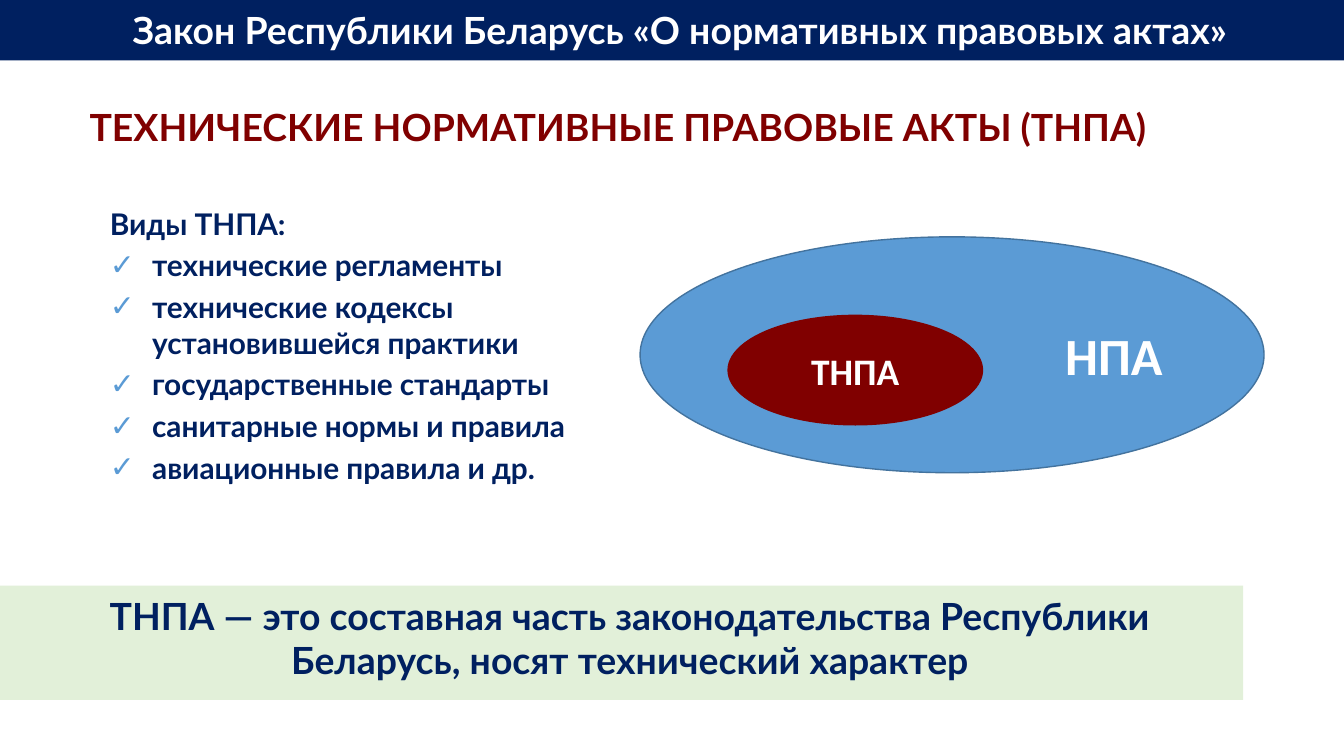
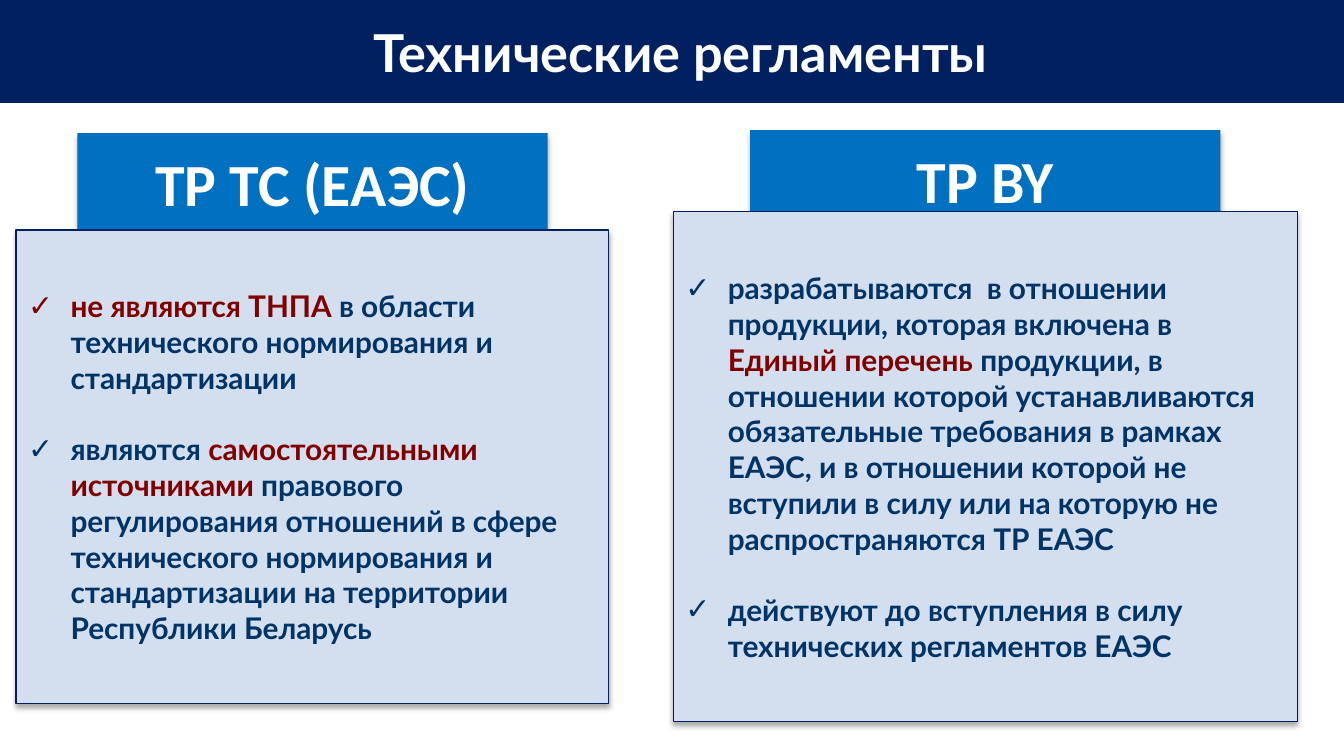
from dataclasses import dataclass

from lxml import etree
from pptx import Presentation
from pptx import util as u
from pptx.dml.color import RGBColor
from pptx.enum import shapes, text
from pptx.oxml import ns


@dataclass(frozen=True)
class Theme:
    """Colours, fonts and type sizes of the deck."""
    navy: str = "002060"
    ink: str = "003366"
    maroon: str = "800000"
    white: str = "FFFFFF"
    sky: str = "5B9BD5"
    sky_edge: str = "43739E"
    blue: str = "0070C0"
    pale_blue: str = "D3DFEE"
    pale_green: str = "E2F0D9"
    body_font: str = "Lato"
    label_font: str = "Calibri"
    body: float = 21.3
    heading: float = 26.7
    title: float = 37.3
    display: float = 42.7


@dataclass(frozen=True)
class Box:
    """A rectangle in cells of the slide grid."""
    left: float
    top: float
    width: float
    height: float

    def share(self, left, top, width, height):
        """Return the box that takes the given shares of this one."""
        return Box(self.left + left * self.width, self.top + top * self.height,
                   width * self.width, height * self.height)

    def lengths(self):
        """Return the four lengths in slide units."""
        return [u.Inches(value / CELLS_PER_INCH)
                for value in (self.left, self.top, self.width, self.height)]


THEME = Theme()
CELLS_PER_INCH = 30
SLIDE = Box(0, 0, 400, 225)
TOP, MIDDLE = text.MSO_ANCHOR.TOP, text.MSO_ANCHOR.MIDDLE
LEFT, CENTER, RIGHT = text.PP_ALIGN.LEFT, text.PP_ALIGN.CENTER, text.PP_ALIGN.RIGHT
WIDE, SNUG, TIGHT = (0.13, 0.07), (0.12, 0.06), (0.1, 0.05)
HANGING, CENTER_SHIFT = 0.42, 0.17


def apply(target, values):
    """Set each attribute of the target from a dict."""
    for name, value in values.items():
        setattr(target, name, value)


def place(shape, box):
    """Move a placeholder to a box."""
    apply(shape, dict(zip(("left", "top", "width", "height"), box.lengths())))
    return shape


def paint(shape, fill, edge=None):
    """Give a shape its fill and its outline."""
    shape.fill.solid()
    shape.fill.fore_color.rgb = RGBColor.from_string(fill)
    if edge:
        shape.line.color.rgb = RGBColor.from_string(edge)
        shape.line.width = u.Pt(1)
    else:
        shape.line.fill.background()
    return shape


def cast_shadow(shape):
    """Add a soft shadow straight below a shape."""
    effects = etree.SubElement(shape.element.spPr, ns.qn("a:effectLst"))
    shadow = etree.SubElement(effects, ns.qn("a:outerShdw"), blurRad=str(u.Pt(3.5)),
                              dist=str(u.Pt(2.2)), dir="5400000", rotWithShape="0")
    colour = etree.SubElement(shadow, ns.qn("a:srgbClr"), val="000000")
    etree.SubElement(colour, ns.qn("a:alpha"), val="32000")


def set_bullet(para, bullet, colour, margin):
    """Set the indent of a paragraph and its check mark or lack of one."""
    props = para._p.get_or_add_pPr()
    props.set("marL", str(u.Inches(HANGING if bullet else margin)))
    props.set("indent", str(u.Inches(-HANGING if bullet else 0)))
    if bullet and colour:
        holder = etree.SubElement(props, ns.qn("a:buClr"))
        etree.SubElement(holder, ns.qn("a:srgbClr"), val=colour)
    if bullet:
        etree.SubElement(props, ns.qn("a:buChar"), char="✓")
    else:
        etree.SubElement(props, ns.qn("a:buNone"))


def write(shape, paras, size, font=THEME.body_font, align=LEFT, anchor=TOP, insets=WIDE,
          first=0, before=0, after=0, margin=0, bullets_from=None, bullet_colour=None):
    """Fill a shape with paragraphs, each a list of (wording, colour) spans."""
    frame = shape.text_frame
    across, down = map(u.Inches, insets)
    apply(frame, {"word_wrap": True, "auto_size": text.MSO_AUTO_SIZE.NONE,
                  "vertical_anchor": anchor, "margin_left": across,
                  "margin_right": across, "margin_top": down, "margin_bottom": down})
    for index, spans in enumerate(paras):
        para = frame.add_paragraph() if index else frame.paragraphs[0]
        apply(para, {"alignment": align, "space_after": u.Pt(after),
                     "space_before": u.Pt(before if index else first)})
        bullet = bullets_from is not None and index >= bullets_from
        set_bullet(para, bullet, bullet_colour, margin)
        for wording, colour in spans:
            span = para.add_run()
            span.text = wording
            apply(span.font, {"name": font, "size": u.Pt(size), "bold": True})
            span.font.color.rgb = RGBColor.from_string(colour)


def add_shape(owner, kind, box, fill, edge=None):
    """Draw a flat preset shape."""
    shape = owner.shapes.add_shape(kind, *box.lengths())
    shape.shadow.inherit = False
    return paint(shape, fill, edge)


def title_band(page, box, wording, size, anchor):
    """Turn the title placeholder into the navy band at the top."""
    band = paint(place(page.shapes.title, box), THEME.navy)
    write(band, [[(wording, THEME.white)]], size, align=CENTER, anchor=anchor,
          margin=CENTER_SHIFT)


def section_heading(page, box, wording):
    """Write the maroon heading below the band."""
    heading = page.shapes.add_textbox(*box.lengths())
    write(heading, [[(wording, THEME.maroon)]], THEME.heading, insets=TIGHT)


def kinds_list(page, box, lead, kinds):
    """Set a lead line and its checked list in the body placeholder."""
    body = place(page.placeholders[1], box)
    write(body, [[(wording, THEME.navy)] for wording in (lead, *kinds)], THEME.body,
          before=THEME.body / 5, bullets_from=1, bullet_colour=THEME.sky)


def nested_sets(page, box, outer, inner):
    """Draw an ellipse that holds a smaller one."""
    group = page.shapes.add_group_shape()
    ellipses = (
        (box, outer, THEME.sky, THEME.sky_edge, THEME.title, RIGHT),
        (box.share(0.14, 0.33, 0.41, 0.47), inner, THEME.maroon, None,
         THEME.heading, CENTER),
    )
    for area, wording, fill, edge, size, align in ellipses:
        ellipse = add_shape(group, shapes.MSO_SHAPE.OVAL, area, fill, edge)
        write(ellipse, [[(wording, THEME.white)]], size, THEME.label_font, align,
              MIDDLE, TIGHT)


def conclusion_band(page, box, wording):
    """Draw the pale green band with the conclusion."""
    band = add_shape(page, shapes.MSO_SHAPE.RECTANGLE, box, THEME.pale_green)
    write(band, [[(wording, THEME.navy)]], THEME.heading, align=CENTER,
          margin=CENTER_SHIFT)


def comparison_column(page, box, holders, heading, drop, points):
    """Set a centred heading and the panel that overlaps its foot."""
    width, height = 140, 29.7
    head, panel = (page.placeholders[holder] for holder in holders)
    place(head, Box(box.left + (box.width - width) / 2, box.top, width, height))
    place(panel, Box(box.left, box.top + drop, box.width, box.height - drop))
    paint(head, THEME.blue)
    paint(panel, THEME.pale_blue, THEME.navy)
    for shape in (head, panel):
        cast_shadow(shape)
    write(head, [[(heading, THEME.white)]], THEME.display, THEME.label_font, CENTER,
          MIDDLE, first=16.2, after=16.2)
    write(panel, points, THEME.body, anchor=MIDDLE, insets=SNUG,
          before=1.2 * THEME.body, bullets_from=0)


def acts_slide(deck):
    """Build the slide on technical normative legal acts."""
    page = deck.slides.add_slide(deck.slide_layouts[1])
    title_band(page, SLIDE.share(0, 0, 1, 0.08),
               "Закон Республики Беларусь «О нормативных правовых актах»",
               THEME.heading, TOP)
    section_heading(page, Box(23.7, 29.4, 337, 16.5),
                    "ТЕХНИЧЕСКИЕ НОРМАТИВНЫЕ ПРАВОВЫЕ АКТЫ (ТНПА)")
    kinds_list(page, Box(28.8, 59, 161.7, 104), "Виды ТНПА:", (
        "технические регламенты",
        "технические кодексы установившейся практики",
        "государственные стандарты",
        "санитарные нормы и правила",
        "авиационные правила и др.",
    ))
    nested_sets(page, Box(190.5, 70.5, 185.7, 70.2), "НПА", "ТНПА")
    conclusion_band(page, Box(0, 174.3, 370, 34),
                    "ТНПА — это составная часть законодательства Республики "
                    "Беларусь, носят технический характер")


def regulations_slide(deck):
    """Build the slide that compares two kinds of regulations."""
    page = deck.slides.add_slide(deck.slide_layouts[4])
    title_band(page, Box(0, 0, 400, 30.6), "Технические регламенты", THEME.title, MIDDLE)
    ink, maroon = THEME.ink, THEME.maroon
    comparison_column(page, Box(4.8, 39.6, 176.4, 169.8), (1, 2), "ТР ТС (ЕАЭС)", 28.8, [
        [("не являются ТНПА ", maroon),
         ("в области технического нормирования и стандартизации", ink)],
        [("являются ", ink), ("самостоятельными источниками ", maroon),
         ("правового регулирования отношений в сфере технического нормирования "
          "и стандартизации на территории Республики Беларусь", ink)],
    ])
    comparison_column(page, Box(200.4, 38.7, 185.7, 176.1), (3, 4), "ТР BY", 24.3, [
        [("разрабатываются  в отношении продукции, которая включена в ", ink),
         ("Единый перечень ", maroon),
         ("продукции, в отношении которой устанавливаются обязательные требования "
          "в рамках ЕАЭС, и в отношении которой не вступили в силу или на которую "
          "не распространяются ТР ЕАЭС", ink)],
        [("действуют до вступления в силу технических регламентов ЕАЭС", ink)],
    ])


def main():
    """Build the deck and save it."""
    deck = Presentation()
    _, _, width, height = SLIDE.lengths()
    apply(deck, {"slide_width": width, "slide_height": height})
    acts_slide(deck)
    regulations_slide(deck)
    deck.save("out.pptx")


if __name__ == "__main__":
    main()
